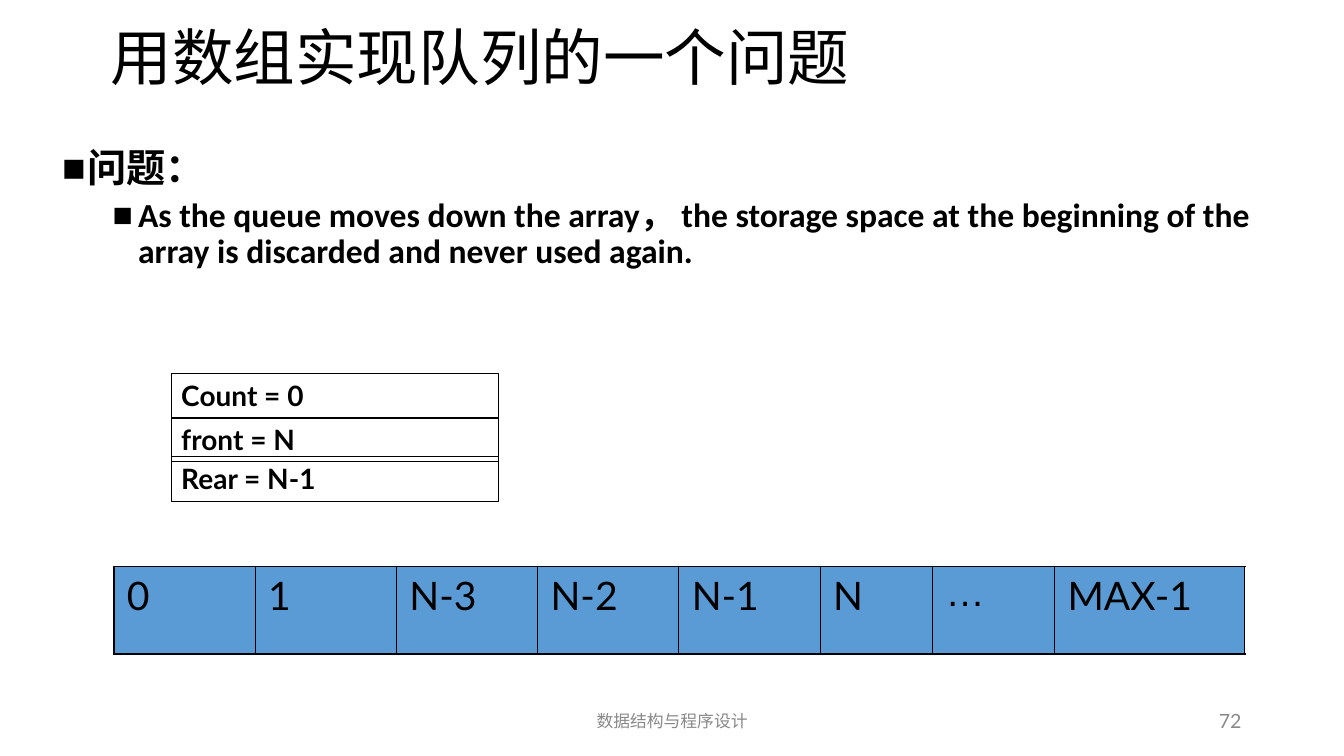
from dataclasses import dataclass

from lxml.etree import SubElement
from pptx import Presentation
from pptx.dml.color import RGBColor
from pptx.enum.shapes import MSO_SHAPE
from pptx.enum.text import MSO_ANCHOR as ANCHOR, PP_ALIGN as ALIGN
from pptx.oxml.ns import qn
from pptx.util import Cm, Pt


@dataclass(frozen=True)
class Theme:
    ink: str = "000000"
    paper: str = "FFFFFF"
    muted: str = "898989"
    cell: str = "5B9BD5"
    body_font: str = "Calibri"
    label_font: str = "Lato"
    symbol_font: str = "Arial"
    title: int = 44
    heading: int = 28
    point: int = 24
    variable: int = 20
    page: int = 14
    footer: int = 12
    outline: float = 0.75
    table_outer: float = 1.08
    table_inner: float = 0.45


THEME = Theme()


def rgb(value):
    return RGBColor.from_string(value)


def write(p, text, size, font=THEME.label_font, color=THEME.ink, bold=False,
          align=ALIGN.LEFT, line_spacing=None, before=0):
    p.alignment = align
    p.space_before = Pt(before)
    if line_spacing:
        p.line_spacing = line_spacing
    r = p.add_run()
    r.text = text
    r.font.size = Pt(size)
    r.font.name = font
    r.font.bold = bold
    r.font.color.rgb = rgb(color)


def add_bullet(p, indent, hanging):
    pPr = p._p.get_or_add_pPr()
    pPr.set("marL", str(Cm(indent)))
    pPr.set("indent", str(-Cm(hanging)))
    color = SubElement(pPr, qn("a:buClr"))
    SubElement(color, qn("a:srgbClr"), val=THEME.ink)
    SubElement(pPr, qn("a:buFont"), typeface=THEME.symbol_font)
    SubElement(pPr, qn("a:buChar"), char="■")


def add_text(s, box, text, size, **fmt):
    """Add one vertically centred line of text."""
    tf = s.shapes.add_textbox(*map(Cm, box)).text_frame
    tf.word_wrap = True
    tf.vertical_anchor = ANCHOR.MIDDLE
    write(tf.paragraphs[0], text, size, **fmt)


def add_rect(s, box, fill=None, line=None):
    sp = s.shapes.add_shape(MSO_SHAPE.RECTANGLE, *map(Cm, box))
    sp.shadow.inherit = False
    if fill:
        sp.fill.solid()
        sp.fill.fore_color.rgb = rgb(fill)
    else:
        sp.fill.background()
    if line:
        sp.line.color.rgb = rgb(line)
        sp.line.width = Pt(THEME.outline)
    else:
        sp.line.fill.background()
    tf = sp.text_frame
    tf.word_wrap = True
    tf.vertical_anchor = ANCHOR.TOP
    return tf


def problem_text(s, box, heading, point):
    tf = add_rect(s, box, fill=THEME.paper)
    p = tf.paragraphs[0]
    write(p, heading, THEME.heading, font=THEME.body_font, bold=True, line_spacing=0.9)
    add_bullet(p, 0.64, 0.64)
    p = tf.add_paragraph()
    p.level = 1
    write(p, point, THEME.point, font=THEME.body_font, bold=True, line_spacing=0.9, before=5)
    add_bullet(p, 1.91, 0.64)


def queue_variables(s, box, variables):
    """Stack one outlined box for each (offset, text) pair."""
    left, top, width, height = box
    for offset, text in variables:
        tf = add_rect(s, (left, top + offset, width, height), line=THEME.ink)
        write(tf.paragraphs[0], text, THEME.variable, bold=True)


def set_borders(cell, widths):
    tcPr = cell._tc.get_or_add_tcPr()
    for side, width in widths.items():
        ln = SubElement(tcPr, qn(f"a:ln{side}"), w=str(Pt(width)))
        fill = SubElement(ln, qn("a:solidFill"))
        SubElement(fill, qn("a:srgbClr"), val=THEME.ink)


def array_table(s, box, columns):
    """Draw the array as one row of (text, width) cells."""
    table = s.shapes.add_table(1, len(columns), *map(Cm, box)).table
    table.first_row = table.horz_banding = False
    outer, inner = THEME.table_outer, THEME.table_inner
    last = len(columns) - 1
    for i, (text, width) in enumerate(columns):
        table.columns[i].width = Cm(width)
        cell = table.cell(0, i)
        cell.margin_left = cell.margin_right = Cm(0.33)
        cell.margin_top = cell.margin_bottom = Cm(0.13)
        set_borders(cell, {"L": inner if i else outer,
                           "R": outer if i == last else inner,
                           "T": outer, "B": outer})
        cell.fill.solid()
        cell.fill.fore_color.rgb = rgb(THEME.cell)
        font = THEME.symbol_font if text == "…" else THEME.label_font
        write(cell.text_frame.paragraphs[0], text, THEME.heading, font=font, before=7)


def footer(s, box, text, page):
    left, top, width, height = box
    add_text(s, (left, top, 11.43, height), text, THEME.footer,
             color=THEME.muted, align=ALIGN.CENTER)
    add_text(s, (left + width - 7.62, top, 7.62, height), page, THEME.page,
             color=THEME.muted, align=ALIGN.RIGHT)


def queue_slide(prs):
    s = prs.slides.add_slide(prs.slide_layouts[6])
    footer(s, (11.23, 17.65, 20.32, 1.02), "数据结构与程序设计", "72")
    add_text(s, (2.54, 0, 28.85, 3.07), "用数组实现队列的一个问题", THEME.title,
             font=THEME.body_font, line_spacing=0.9)
    problem_text(s, (1.32, 3.63, 31.14, 7.21), "问题：",
                 "As the queue moves down the array， the storage space at the "
                 "beginning of the array is discarded and never used again.")
    queue_variables(s, (4.32, 9.42, 8.26, 1.12),
                    [(0, "Count = 0"), (1.1, "front = N"), (2.09, "Rear = N-1")])
    slots = [(text, 3.56) for text in ("0", "1", "N-3", "N-2", "N-1")]
    array_table(s, (2.87, 14.27, 28.52, 2.21),
                slots + [("N", 2.84), ("…", 3.07), ("MAX-1", 4.8)])


def main():
    prs = Presentation()
    prs.slide_width, prs.slide_height = Cm(33.88), Cm(19.05)
    queue_slide(prs)
    prs.save("out.pptx")


if __name__ == "__main__":
    main()
